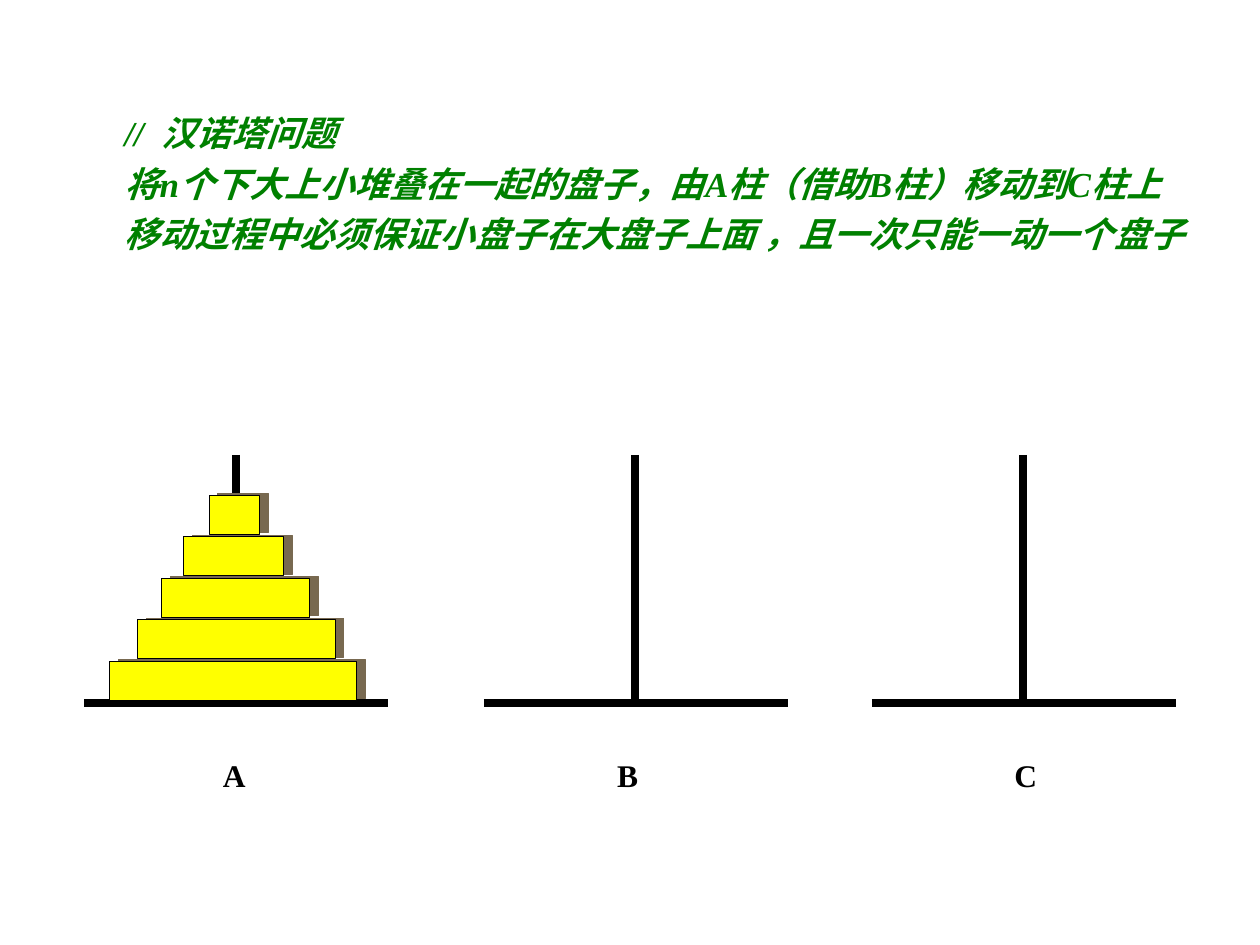
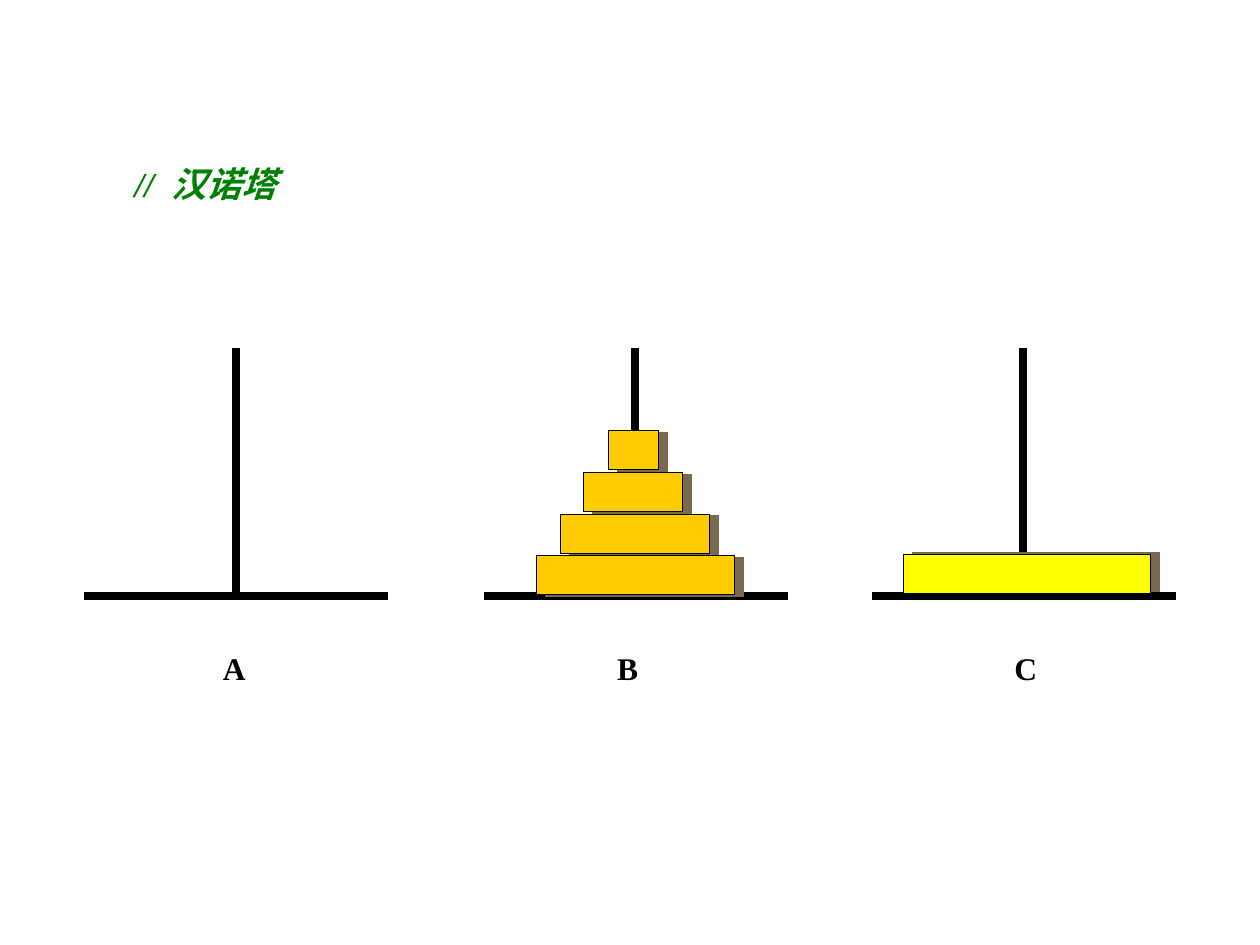
from lxml import etree
from pptx import Presentation
from pptx.dml.color import RGBColor
from pptx.enum.shapes import MSO_CONNECTOR, MSO_SHAPE
from pptx.enum.text import MSO_ANCHOR, MSO_AUTO_SIZE, PP_ALIGN
from pptx.oxml.ns import qn
from pptx.util import Inches, Pt

LINE = MSO_CONNECTOR.STRAIGHT
RECT = MSO_SHAPE.RECTANGLE
MID = MSO_ANCHOR.MIDDLE
GROW = MSO_AUTO_SIZE.SHAPE_TO_FIT_TEXT
LEFT = PP_ALIGN.LEFT
CENTER = PP_ALIGN.CENTER

BLACK = "000000"
GREEN = "008000"
YELLOW = "FFFF00"
GOLD = "FFCC00"
SHADE = "786950"

PEGS = {"A": (1.87, 1.86), "B": (5.04, 4.98), "C": (8.12, 8.14)}
EDGES = {5: 1.0, 4: 0.78, 3: 0.59, 2: 0.41, 1: 0.21}
STEP = 0.33
UNIT = 0.39
THICK = 0.31


def color(code):
    return RGBColor.from_string(code)


def apply(target, values):
    for name, value in values.items():
        setattr(target, name, value)


class Deck:
    note = {"name": "Times New Roman", "size": Pt(20), "bold": True, "italic": True}
    label = {"name": "Times New Roman", "size": Pt(18), "bold": True}
    frame = {"word_wrap": False, "auto_size": GROW, "vertical_anchor": MID}

    def __init__(self):
        self.show = Presentation()
        apply(self.show, {"slide_width": Inches(10), "slide_height": Inches(7.5)})
        self.slide = None

    def page(self):
        self.slide = self.show.slides.add_slide(self.show.slide_layouts[6])

    def text(self, box, lines, font, tint, align=LEFT, space=1.0):
        shape = self.slide.shapes.add_textbox(*map(Inches, box))
        frame = shape.text_frame
        apply(frame, self.frame)
        frame.text = "\n".join(lines)
        for para in frame.paragraphs:
            apply(para, {"alignment": align, "line_spacing": space})
            for run in para.runs:
                apply(run.font, font)
                run.font.color.rgb = color(tint)

    def line(self, *ends):
        link = self.slide.shapes.add_connector(LINE, *map(Inches, ends))
        link.line.width = Pt(4.5)
        link.line.color.rgb = color(BLACK)
        etree.SubElement(link._element.spPr, qn("a:effectLst"))

    def disk(self, left, top, width, tint, angle):
        box = map(Inches, (left, top, width, THICK))
        shape = self.slide.shapes.add_shape(RECT, *box)
        shape.fill.solid()
        shape.fill.fore_color.rgb = color(tint)
        shape.line.width = Pt(0.5)
        shape.line.color.rgb = color(BLACK)
        shape.shadow.inherit = False
        effect = shape._element.spPr.find(qn("a:effectLst"))
        shadow = etree.SubElement(effect, qn("a:outerShdw"), dist=str(Pt(5.1)),
                                  dir=str(angle * 60000), algn="ctr", rotWithShape="0")
        etree.SubElement(shadow, qn("a:srgbClr"), val=SHADE)

    def pegs(self, base):
        for name, (peg, mid) in PEGS.items():
            self.line(peg - 1.2, base, peg + 1.21, base)
            self.line(peg, base - 1.97, peg, base)
            self.text((mid - 0.19, base + 0.37, 0.38, 0.4), [name],
                      self.label, BLACK, CENTER)

    def stack(self, name, base, sizes, tint, angle, shift=0):
        peg = PEGS[name][0]
        for row, size in enumerate(sizes, 1):
            self.disk(peg - EDGES[size] + shift, base - row * STEP,
                      size * UNIT + 0.01, tint, angle)

    def title(self, box, lines):
        self.text(box, lines, self.note, GREEN, space=1.2)


def main():
    deck = Deck()

    deck.page()
    deck.title((0.89, 0.77, 8.96, 1.3), [
        "//  汉诺塔问题",
        "将n个下大上小堆叠在一起的盘子，由A柱（借助B柱）移动到C柱上",
        "移动过程中必须保证小盘子在大盘子上面 ，且一次只能一动一个盘子",
    ])
    deck.pegs(5.58)
    deck.stack("A", 5.58, (5, 4, 3, 2, 1), YELLOW, 349)

    deck.page()
    deck.pegs(4.73)
    deck.stack("B", 4.74, (4, 3, 2, 1), GOLD, 11)
    deck.stack("C", 4.73, (5,), YELLOW, 349, 0.05)
    deck.title((0.97, 1.17, 1.46, 0.5), ["//  汉诺塔"])

    deck.show.save("out.pptx")


if __name__ == "__main__":
    main()
